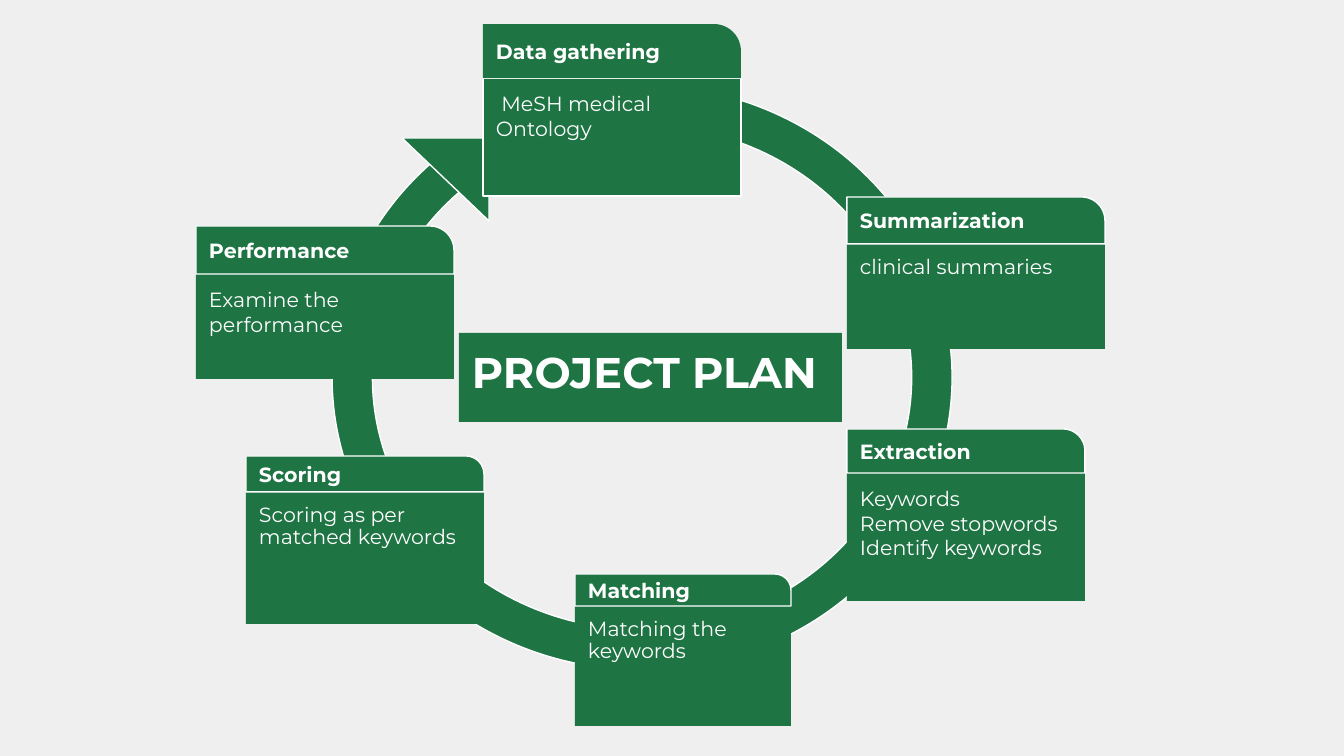
"""Build the circular project plan slide with six stage cards."""

import dataclasses
import typing

import pptx
import pptx.dml.color
import pptx.enum.shapes
import pptx.enum.text
import pptx.shapes.autoshape
import pptx.slide
import pptx.util

EMU_PER_PX = 914400 / 134.4
SHAPES = pptx.enum.shapes.MSO_SHAPE
ANCHORS = pptx.enum.text.MSO_ANCHOR


@dataclasses.dataclass(frozen=True)
class Theme:
    background: str = "EFEFEF"
    fill: str = "1F7444"
    light: str = "FFFFFF"
    font: str = "Montserrat"
    card_size: int = 11
    title_size: int = 23
    line_width: float = 0.75


class Box(typing.NamedTuple):
    left: int
    top: int
    width: int
    height: int


class Card(typing.NamedTuple):
    heading: str
    lines: tuple[str, ...]
    left: int
    top: int
    width: int
    head_height: int
    body_height: int
    spacing: float = 1.0
    head_outlined: bool = True
    body_outlined: bool = False


THEME = Theme()
SLIDE_WIDTH, SLIDE_HEIGHT = 1344, 756
INSET = 13
RING = Box(332, 85, 620, 585)
RING_ADJUSTMENTS = (53.998, 30.127, 0.069)
ARROWHEAD = Box(402, 138, 87, 83)
TITLE = Box(459, 333, 383, 89)
CARDS = (
    Card("Matching", ("Matching the keywords",), 575, 574, 216, 32, 120, 0.9),
    Card("Scoring", ("Scoring as per matched keywords",), 246, 456, 238, 36, 132, 0.9),
    Card("Extraction", ("Keywords", "Remove stopwords", "Identify keywords"),
         847, 429, 238, 44, 128),
    Card("Performance", ("Examine the performance",), 196, 226, 258, 48, 105),
    Card("Data gathering", (" MeSH medical Ontology",), 483, 24, 258, 54, 118,
         head_outlined=False, body_outlined=True),
    Card("Summarization", ("clinical summaries",), 847, 197, 258, 47, 105, 0.9),
)


def px(length: int) -> pptx.util.Emu:
    """Turn pixels into EMU."""
    return pptx.util.Emu(round(length * EMU_PER_PX))


def color(value: str) -> pptx.dml.color.RGBColor:
    """Turn a hex string into a colour."""
    return pptx.dml.color.RGBColor.from_string(value)


def apply(target: object, values: dict[str, object]) -> None:
    """Set each named attribute on the target."""
    for name, value in values.items():
        setattr(target, name, value)


def add_box(slide: pptx.slide.Slide, kind: SHAPES, box: Box,
            outlined: bool = False) -> pptx.shapes.autoshape.Shape:
    """Add a green shape with an optional light outline."""
    shape = slide.shapes.add_shape(kind, *map(px, box))
    shape.shadow.inherit = False
    shape.fill.solid()
    shape.fill.fore_color.rgb = color(THEME.fill)
    if outlined:
        shape.line.color.rgb = color(THEME.light)
        shape.line.width = pptx.util.Pt(THEME.line_width)
    else:
        shape.line.fill.background()
    return shape


def write(shape: pptx.shapes.autoshape.Shape, lines: tuple[str, ...],
          size: int = THEME.card_size, bold: bool = False,
          anchor: ANCHORS = ANCHORS.TOP, spacing: float = 1.0) -> None:
    """Write one left-aligned paragraph per line."""
    frame = shape.text_frame
    margins = ("margin_left", "margin_top", "margin_right", "margin_bottom")
    apply(frame, dict.fromkeys(margins, px(INSET))
          | {"word_wrap": True, "vertical_anchor": anchor})
    frame.text = "\n".join(lines)
    for paragraph in frame.paragraphs:
        apply(paragraph, {"alignment": pptx.enum.text.PP_ALIGN.LEFT,
                          "line_spacing": spacing})
        for run in paragraph.runs:
            apply(run.font, {"name": THEME.font, "size": pptx.util.Pt(size),
                             "bold": bold})
            run.font.color.rgb = color(THEME.light)


def add_card(slide: pptx.slide.Slide, card: Card) -> None:
    """Add a stage body and the heading tab above it."""
    body_box = Box(card.left, card.top + card.head_height, card.width, card.body_height)
    body = add_box(slide, SHAPES.RECTANGLE, body_box, card.body_outlined)
    write(body, card.lines, spacing=card.spacing)
    head_box = Box(card.left, card.top, card.width, card.head_height)
    head = add_box(slide, SHAPES.ROUND_1_RECTANGLE, head_box, card.head_outlined)
    head.adjustments[0] = 0.5
    write(head, (card.heading,), bold=True, anchor=ANCHORS.MIDDLE)


def add_cycle(slide: pptx.slide.Slide) -> None:
    """Add the ring and its arrowhead."""
    ring = add_box(slide, SHAPES.BLOCK_ARC, RING, True)
    for index, value in enumerate(RING_ADJUSTMENTS):
        ring.adjustments[index] = value
    arrowhead = add_box(slide, SHAPES.RIGHT_TRIANGLE, ARROWHEAD, True)
    for shape in (ring, arrowhead):
        shape.rotation = 180


def main() -> None:
    """Build and save the presentation."""
    presentation = pptx.Presentation()
    apply(presentation, {"slide_width": px(SLIDE_WIDTH),
                         "slide_height": px(SLIDE_HEIGHT)})
    slide = presentation.slides.add_slide(presentation.slide_layouts[6])
    slide.background.fill.solid()
    slide.background.fill.fore_color.rgb = color(THEME.background)
    add_cycle(slide)
    for card in CARDS:
        add_card(slide, card)
    title = add_box(slide, SHAPES.RECTANGLE, TITLE)
    write(title, ("PROJECT PLAN",), THEME.title_size, bold=True)
    presentation.save("out.pptx")


if __name__ == "__main__":
    main()
